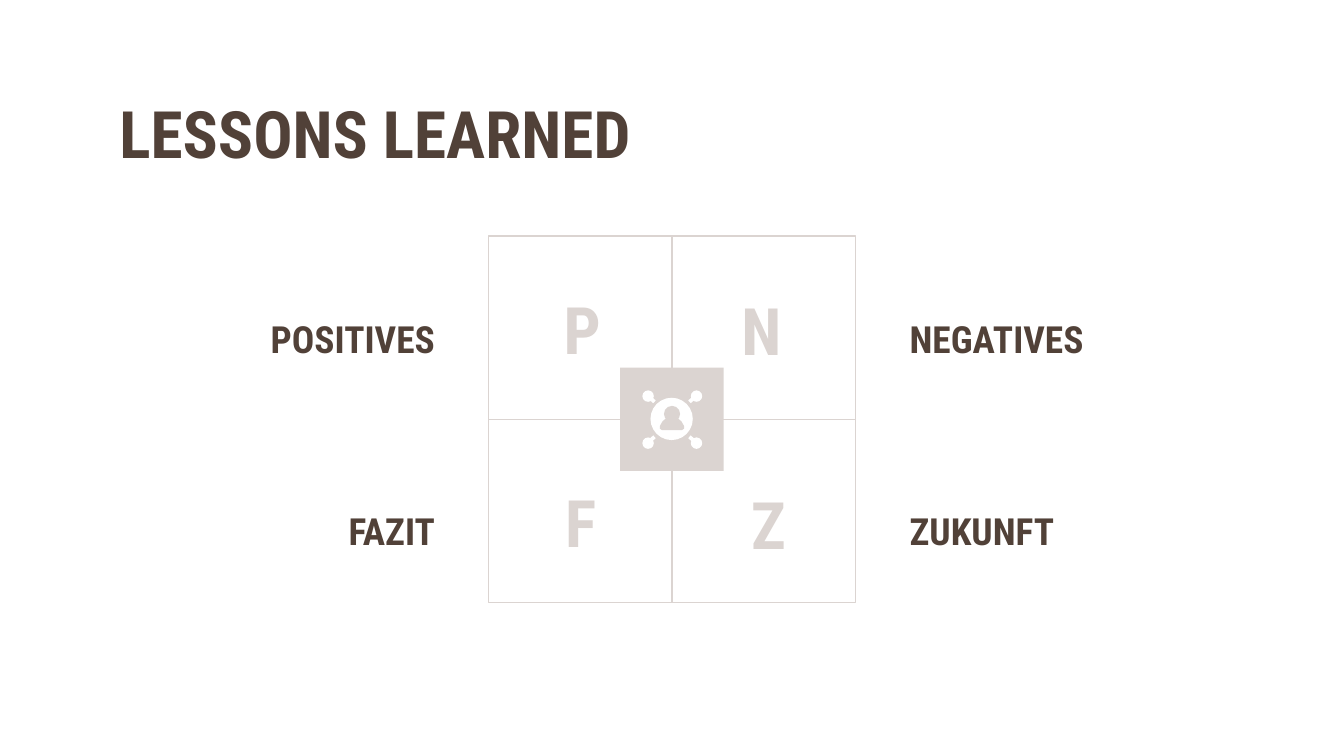
from itertools import product

from lxml import etree
from pptx import Presentation
from pptx import util as u
from pptx.dml.color import RGBColor
from pptx.enum import shapes, text
from pptx.oxml.ns import qn

PX = 4572  # EMU per px, 200 px to the inch
COLORS = {"brown": "514138", "sand": "DBD4D1", "white": "FFFFFF"}
FONT = "Roboto Condensed"

prs = Presentation()
prs.slide_width, prs.slide_height = 2000 * PX, 1125 * PX
slide = prs.slides.add_slide(prs.slide_layouts[6])


def add_label(words, box, size, color, align=text.PP_ALIGN.LEFT):
    label = slide.shapes.add_textbox(*[n * PX for n in box])
    frame = label.text_frame
    frame.word_wrap = True
    frame.margin_left = frame.margin_right = 20 * PX
    frame.margin_top = frame.margin_bottom = 20 * PX
    frame.text = words
    paragraph = frame.paragraphs[0]
    paragraph.alignment = align
    font = paragraph.runs[0].font
    font.name, font.size, font.bold = FONT, u.Pt(size), True
    font.color.rgb = RGBColor.from_string(COLORS[color])


def paint(shape, fill, line=None):
    shape.shadow.inherit = False
    shape.fill.solid()
    shape.fill.fore_color.rgb = RGBColor.from_string(COLORS[fill])
    if line:
        shape.line.color.rgb = RGBColor.from_string(COLORS[line])
        shape.line.width = u.Pt(0.75)
    else:
        shape.line.fill.background()


add_label("LESSONS LEARNED", (158, 119, 874, 132), 35, "brown")

topics = [
    ("POSITIVES", 159, 451, text.PP_ALIGN.RIGHT),
    ("FAZIT", 159, 736, text.PP_ALIGN.RIGHT),
    ("NEGATIVES", 1334, 451, text.PP_ALIGN.LEFT),
    ("ZUKUNFT", 1334, 736, text.PP_ALIGN.LEFT),
]
for topic, left, top, align in topics:
    add_label(topic, (left, top, 508, 94), 20, "brown", align)

# Four quadrants meeting at the centre
center_x, center_y, quadrant = 1000, 624, 273
for column, row in product((-1, 0), repeat=2):
    square = slide.shapes.add_shape(
        shapes.MSO_SHAPE.RECTANGLE,
        (center_x + column * quadrant) * PX, (center_y + row * quadrant) * PX,
        quadrant * PX, quadrant * PX)
    paint(square, "white", "sand")

hub = slide.shapes.add_shape(
    shapes.MSO_SHAPE.RECTANGLE, 923 * PX, 547 * PX, 154 * PX, 154 * PX)
paint(hub, "sand")

initials = [
    ("P", (819, 410, 90, 152), text.PP_ALIGN.LEFT),
    ("N", (1066, 412, 134, 132), text.PP_ALIGN.CENTER),
    ("F", (797, 697, 134, 132), text.PP_ALIGN.CENTER),
    ("Z", (1098, 700, 90, 152), text.PP_ALIGN.LEFT),
]
for initial, box, align in initials:
    add_label(initial, box, 35, "sand", align)

# Network icon: four satellites around a person
for side_x, side_y in product((-1, 1), repeat=2):
    ball_x, ball_y = center_x + 36 * side_x, center_y + 35 * side_y
    stem = slide.shapes.add_connector(
        shapes.MSO_CONNECTOR.STRAIGHT, ball_x * PX, ball_y * PX,
        (center_x + 26 * side_x) * PX, (center_y + 26 * side_y) * PX)
    stem.line.color.rgb = RGBColor.from_string(COLORS["white"])
    stem.line.width = u.Pt(2)
    etree.SubElement(stem._element.spPr, qn("a:effectLst"))
    ball = slide.shapes.add_shape(
        shapes.MSO_SHAPE.OVAL,
        (ball_x - 8) * PX, (ball_y - 8) * PX, 17 * PX, 17 * PX)
    paint(ball, "white")

for left, top, size, fill in [(968, 592, 63, "white"), (988, 604, 24, "sand")]:
    disc = slide.shapes.add_shape(
        shapes.MSO_SHAPE.OVAL, left * PX, top * PX, size * PX, size * PX)
    paint(disc, fill)

shoulder = [(8, 622), (14, 627), (18, 634), (18, 638), (15, 640)]
outline = [(center_x + x, y) for x, y in shoulder]
outline += [(center_x - x, y) for x, y in reversed(shoulder)]
builder = slide.shapes.build_freeform(*outline[0], scale=PX)
builder.add_line_segments(outline[1:], close=True)
paint(builder.convert_to_shape(), "sand")

prs.save("out.pptx")
